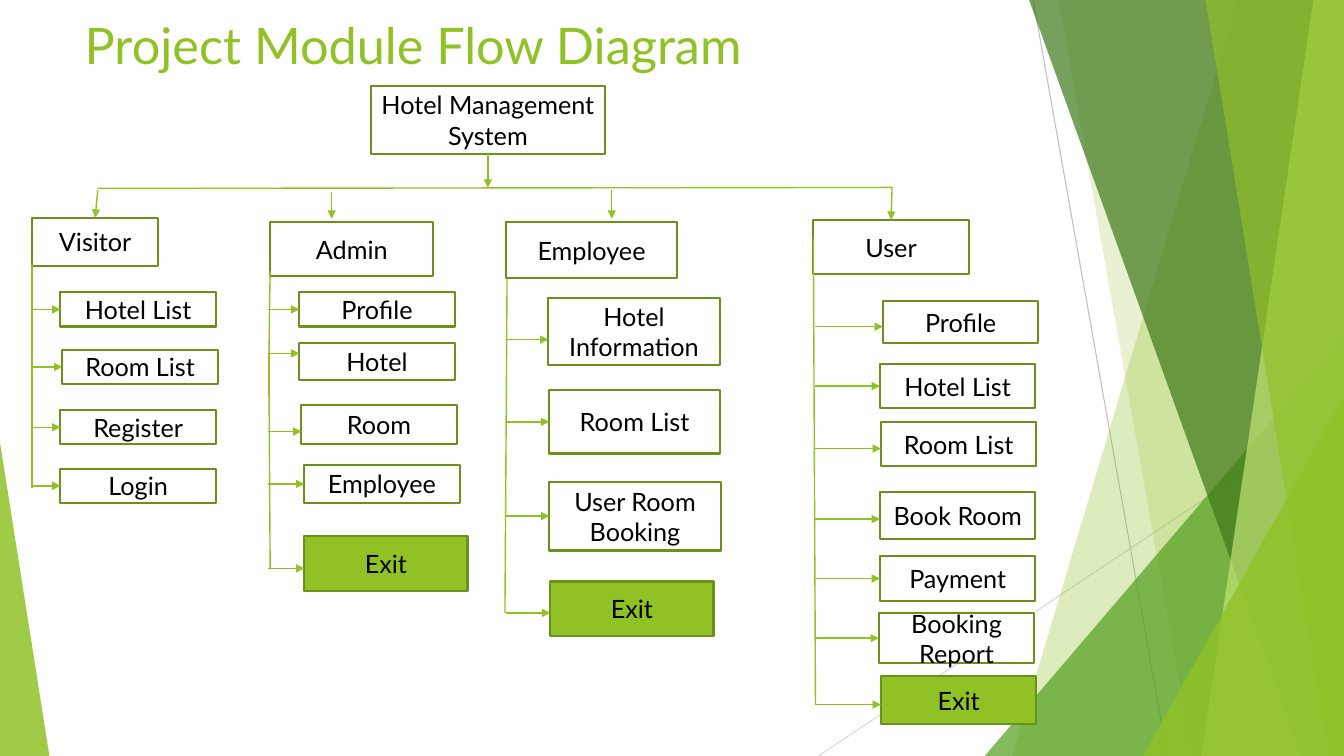
from itertools import pairwise

from lxml.etree import SubElement
from pptx import Presentation
from pptx.dml.color import RGBColor as RGB
from pptx.enum.shapes import MSO_CONNECTOR as LINK, MSO_SHAPE as SHAPE
from pptx.enum.text import MSO_ANCHOR as ANCHOR, MSO_AUTO_SIZE as FIT, PP_ALIGN as ALIGN
from pptx.oxml.ns import qn
from pptx.util import Pt

COLORS = {
    "leaf": "90C226", "edge": "6B901C", "grass": "54A021", "forest": "3F7819",
    "lime": "C0E474", "white": "FFFFFF", "black": "000000",
    "gray": "BFBFBF", "pale": "D9D9D9",
}
WIDTH, HEIGHT = 960, 540
TOP, LEFT, BOTTOM = 0, 1, 2
NEAR_MIDDLE = 2.5


def rgb(name):
    return RGB.from_string(COLORS[name])


class FlowSlide:
    """Holds the style and the current slide."""

    body = {"name": "Lato", "size": Pt(18)}
    heading = {"name": "Lato", "size": Pt(36)}

    def __init__(self, deck):
        self.slide = deck.slides.add_slide(deck.slide_layouts[5])
        self.shapes = self.slide.shapes

    def label(self, frame, text, style, color, align):
        frame.text = text
        frame.word_wrap = True
        paragraph = frame.paragraphs[0]
        paragraph.alignment = align
        font = paragraph.runs[0].font
        for key, value in style.items():
            setattr(font, key, value)
        font.color.rgb = rgb(color)

    def title(self, text, left, top, width, height):
        title = self.shapes.title
        place = {"left": left, "top": top, "width": width, "height": height}
        for key, value in place.items():
            setattr(title, key, Pt(value))
        title.text_frame.auto_size = FIT.NONE
        title.text_frame.vertical_anchor = ANCHOR.TOP
        self.label(title.text_frame, text, self.heading, "leaf", ALIGN.LEFT)

    def tint(self, facet, color, opacity):
        facet.shadow.inherit = False
        facet.fill.solid()
        facet.fill.fore_color.rgb = rgb(color)
        facet.line.fill.background()
        paint = facet._element.spPr.find(".//" + qn("a:srgbClr"))
        SubElement(paint, qn("a:alpha"), val=str(opacity * 1000))

    def band(self, top_x, bottom_x, color, opacity):
        outline = self.shapes.build_freeform(Pt(top_x), Pt(0))
        corners = [(WIDTH, 0), (WIDTH, HEIGHT), (bottom_x, HEIGHT)]
        outline.add_line_segments([(Pt(x), Pt(y)) for x, y in corners], close=True)
        self.tint(outline.convert_to_shape(), color, opacity)

    def wedge(self, left, top, width, apex, color, opacity):
        wedge = self.shapes.add_shape(
            SHAPE.ISOSCELES_TRIANGLE, Pt(left), Pt(top), Pt(width), Pt(HEIGHT - top))
        wedge.adjustments[0] = apex
        self.tint(wedge, color, opacity)

    def box(self, text, left, top, width, height, fill="white"):
        box = self.shapes.add_shape(
            SHAPE.RECTANGLE, Pt(left), Pt(top), Pt(width), Pt(height))
        box.shadow.inherit = False
        if fill:
            box.fill.solid()
            box.fill.fore_color.rgb = rgb(fill)
        else:
            box.fill.background()
        box.line.color.rgb = rgb("edge")
        box.line.width = Pt(1.5)
        box.text_frame.vertical_anchor = ANCHOR.MIDDLE
        self.label(box.text_frame, text, self.body, "black", ALIGN.CENTER)
        return box

    def line(self, start, end, color="leaf", weight=1, arrow=False):
        line = self.shapes.add_connector(
            LINK.STRAIGHT, *(Pt(value) for value in (*start, *end)))
        line.line.color.rgb = rgb(color)
        line.line.width = Pt(weight)
        properties = line._element.spPr
        if arrow:
            SubElement(properties.find(qn("a:ln")), qn("a:tailEnd"), type="triangle")
        SubElement(properties, qn("a:effectLst"))
        return line


# Heading box, arrow into it (start, end, joined), trunk points, branch start,
# fill, and rows of (label, left, top, width, height, arrow y)
MODULES = [
    (("Visitor", 23, 155.5, 90, 34.5), ((69.8, 136), (68, 155.5), True),
     [(23, 189.4), (23, 219), (23, 262), (23, 305.3), (23, 348.5)], 23.5, None, [
        ("Hotel List", 43.2, 208.8, 111, 24.5, 219),
        ("Room List", 44.6, 249.8, 111, 24.5, 262),
        ("Register", 43.2, 293, 111, 24.5, 305.3),
        ("Login", 43.2, 334.8, 111, 24.5, 349)]),
    (("Admin", 193, 158.4, 116.6, 38.9), ((236.9, 137.5), (236.9, 156.2), False),
     [(193, 193.7), (192.5, 223.5), (192.2, 252.7), (192.2, 282.2), (193, 406)],
     191.5, "white", [
        ("Profile", 213.8, 208.8, 111, 24.5, 223.2),
        ("Hotel", 213.8, 244.8, 111, 26.6, 252.4),
        ("Room", 215.3, 289.4, 111, 28, 308.2),
        ("Employee", 217.4, 331.9, 111, 27.4, 345.6),
        ("Exit", 217.4, 383, 116.6, 38.9, 406)]),
    (("Employee", 361.4, 158.4, 122.4, 40.3), ((437, 136), (437, 156.2), False),
     [(362.2, 199.4), (360.7, 437.8)], 361.5, "white", [
        ("Hotel Information", 391.7, 213.1, 122.4, 47.5, 242.6),
        ("Room List", 392.4, 278.6, 121.7, 45.4, 302),
        ("User Room Booking", 392.4, 344.2, 122.4, 49, 370),
        ("Exit", 393.1, 415.4, 116.6, 38.9, 437.8)]),
    (("User", 581, 157, 111, 38.9), ((637.2, 133.9), (636.5, 157), True),
     [(581, 170.6), (582.5, 503.3)], 582.5, "white", [
        ("Profile", 630.7, 215.3, 111, 29.5, 233.3),
        ("Hotel List", 628.6, 259.9, 111, 31.7, 277.9),
        ("Room List", 629.3, 301.7, 111, 31, 320.4),
        ("Book Room", 628.6, 351.4, 111, 33.8, 370.8),
        ("Payment", 628.6, 397.4, 111, 31.7, 415.4),
        ("Booking Report", 627.8, 437.8, 111, 36, 457.2),
        ("Exit", 629.3, 483.1, 111, 33.8, 503.3)]),
]


def draw_backdrop(flow):
    flow.line((738, 0), (833.8, HEIGHT), "gray", 0.75)
    flow.line((WIDTH, 290.2), (584.6, HEIGHT), "pale", 0.75)
    flow.band(884.2, 722.9, "leaf", 30)
    flow.band(756, 851.8, "leaf", 20)
    flow.wedge(703.4, 239.8, 256.6, 1, "grass", 72)
    flow.band(735.1, 929.5, "forest", 70)
    flow.band(938.2, 858.2, "lime", 70)
    flow.band(861.1, 949, "leaf", 65)
    flow.wedge(816.5, 283, 143.5, 1, "leaf", 80)
    flow.wedge(0, 316.1, 35.3, 0, "leaf", 85)


def draw_module(flow, heading, entry, trunk, branch_x, fill, rows):
    head = flow.box(*heading)
    start, end, joined = entry
    arrow = flow.line(start, end, arrow=True)
    if joined:
        arrow.end_connect(head, TOP)
    for upper, lower in pairwise(trunk):
        flow.line(upper, lower)
    for text, left, top, width, height, y in rows:
        item = flow.box(text, left, top, width, height,
                        "leaf" if text == "Exit" else fill)
        middle = top + height / 2
        centred = abs(y - middle) <= NEAR_MIDDLE
        if centred:
            y = middle
        branch = flow.line((branch_x, y), (left, y), arrow=True)
        if centred:
            branch.end_connect(item, LEFT)


def main():
    deck = Presentation()
    deck.slide_width, deck.slide_height = Pt(WIDTH), Pt(HEIGHT)
    flow = FlowSlide(deck)

    # Backdrop and title
    draw_backdrop(flow)
    flow.title("Project Module Flow Diagram", 53.3, 6.5, 676.8, 59)

    # System and the line that spreads to the modules
    system = flow.box("Hotel Management System", 265, 61.2, 167, 49)
    flow.line((348.5, 110.2), (348.5, 134), arrow=True).begin_connect(system, BOTTOM)
    flow.line((637.2, 133.9), (69.8, 134.6))

    # Modules with their pages
    for module in MODULES:
        draw_module(flow, *module)

    deck.save("out.pptx")


if __name__ == "__main__":
    main()
